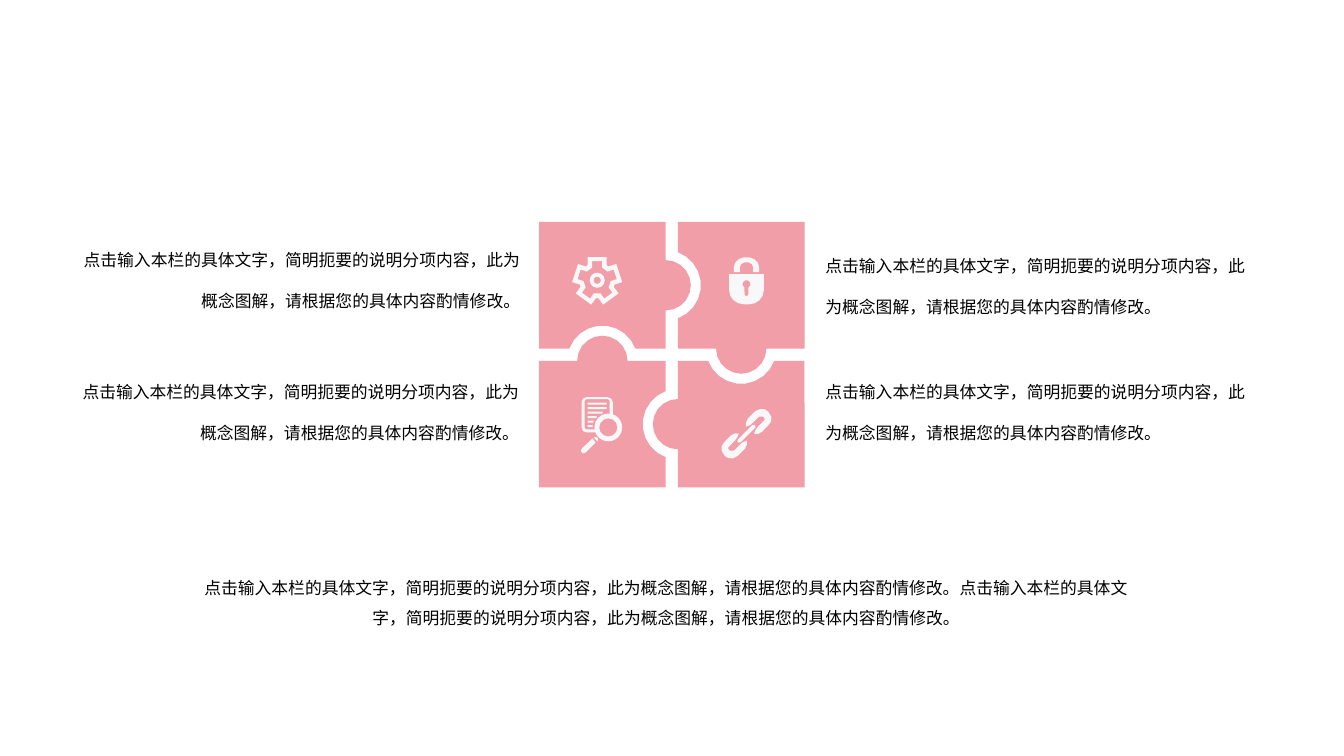
from math import cos, sin, radians
from pptx import Presentation
from pptx.dml.color import RGBColor
from pptx.enum.shapes import MSO_SHAPE as Kind
from pptx.enum.text import MSO_AUTO_SIZE as Fit, PP_ALIGN as Al
from pptx.oxml.ns import qn
from pptx.util import Pt

# Content
FONT, BLACK, PINK, PALE = "Noto Sans CJK SC", "000000", "F29EA9", "F8F8F8"
NOTE = "点击输入本栏的具体文字，简明扼要的说明分项内容，此为概念图解，请根据您的具体内容酌情修改。"
NOTES = [  # text, left, top, width, height, align, line spacing
    (NOTE, 582.5, 164.9, 323.3, 60.5, Al.LEFT, 2.0),
    (NOTE, 582.5, 254.9, 323.3, 60.5, Al.LEFT, 2.0),
    (NOTE, 45.4, 160.6, 333.4, 65.5, Al.RIGHT, 2.0),
    (NOTE, 44.6, 254.9, 333.4, 65.5, Al.RIGHT, 2.0),
    (NOTE * 2, 135.4, 401.8, 681.1, 91.4, Al.CENTER, 1.5),
]

# Puzzle sizes, measured from its centre
MID_X, MID_Y = 479.9, 253.4
GAP, OUT, HALF = 4.4, 94.8, 49.6
KNOB, HOLE = 18, 25.2

# Icon places
GEAR, LOCK, PAGE, CHAIN = (426.6, 200.2), (533.2, 183.6), (415.4, 283.7), (533.2, 309.8)
LINES = [13.7, 13.7, 10.8, 6.5, 4.3, 3.6]  # lengths of the text lines on the page
LINK = [(-9, 12.2), (-11.9, 12.2), (-13.2, 10.4), (-12.6, 9.4), (-8.3, 5),
        (-6.5, 2.5), (-5.4, 0), (-8.3, -0.2), (-11.2, 1.4), (-15.5, 5.8),
        (-17.6, 8.6), (-17.8, 12), (-15.5, 15.8), (-13, 17.5), (-9.5, 17.6),
        (-6.1, 15.8), (-1.1, 10.8), (0.3, 7.9), (0.4, 5), (-2.5, 6), (-4.7, 7.9)]

deck = Presentation()
deck.slide_width, deck.slide_height = Pt(960), Pt(540)
slide = deck.slides.add_slide(deck.slide_layouts[6])


def tint(code):
    return RGBColor.from_string(code)


def arc(x, y, r, start, end, tall=None):
    """Points on an arc, more for a longer one; degrees run clockwise."""
    steps = max(2, round(abs(end - start) * r ** 0.5 / 75))
    turns = [radians(start + (end - start) * i / steps) for i in range(steps + 1)]
    return [(x + r * cos(a), y + (tall or r) * sin(a)) for a in turns]


def turn(dots, deg):
    c, s = cos(radians(deg)), sin(radians(deg))
    return [(x * c - y * s, x * s + y * c) for x, y in dots]


def spin(tooth):
    """Five teeth make one closed gear edge."""
    return [dot for k in range(5) for dot in turn(tooth, 72 * k)]


def paint(shape, code):
    shape.shadow.inherit = False
    shape.fill.solid()
    shape.fill.fore_color.rgb = tint(code)
    shape.line.fill.background()


def draw(code, spot, *loops):
    pen = None
    for loop in loops:
        dots = [(Pt(spot[0] + x), Pt(spot[1] + y)) for x, y in loop]
        if pen is None:
            pen = slide.shapes.build_freeform(*dots[0], scale=1.0)
        else:
            pen.move_to(*dots[0])
        pen.add_line_segments(dots[1:], close=True)
    paint(pen.convert_to_shape(), code)


def ring(code, spot, x, y, r, hole):
    shape = slide.shapes.add_shape(Kind.DONUT, Pt(spot[0] + x - r), Pt(spot[1] + y - r),
                                   Pt(2 * r), Pt(2 * r))
    shape.adjustments[0] = (r - hole) / (2 * r)
    paint(shape, code)


# Puzzle: one piece, turned four times
piece = [(-OUT, -OUT), (-GAP, -OUT),
         *arc(-GAP, -HALF, KNOB, -90, 90),
         (-GAP, -GAP),
         *arc(-HALF, GAP, HOLE, -20.4, -159.6),
         (-OUT, -GAP)]
for deg in range(0, 360, 90):
    draw(PINK, (MID_X, MID_Y), turn(piece, deg))

# Gear
draw(PALE, GEAR,
     spin([(-6.8, -10.8), (-6.8, -16.6), (6.8, -16.6), (6.8, -10.8)]),
     spin([(-3.6, -9), (-3.6, -13.6), (3.6, -13.6), (3.6, -9)]))
ring(PALE, GEAR, 0, 0, 5.4, 2.6)

# Lock: shackle, then body with keyhole
draw(PALE, LOCK,
     [(-9, 10.8), *arc(0, 7.2, 9, 180, 360, 7.2), (9, 10.8), (4.7, 10.8),
      *arc(0, 7.2, 4.7, 360, 180, 3.6), (-4.7, 10.8)])
draw(PALE, LOCK,
     [(-12.4, 12.2), (12.4, 12.2), *arc(1.8, 23.8, 10.6, 0, 90, 10),
      *arc(-1.8, 23.8, 10.6, 90, 180, 10)],
     [*arc(0, 19.4, 2.9, 120, 420), *arc(0, 26.6, 1.4, 0, 180)])

# Page: text lines, frame, lens and handle
rows = [(4 + 3.2 * i, size) for i, size in enumerate(LINES)]
draw(PALE, PAGE, *[
    [(4.3, y), (4.3 + size, y), (4.3 + size, y + 1.4), (4.3, y + 1.4)] for y, size in rows])
draw(PALE, PAGE,
     [(10.1, 23), *arc(3.6, 21.6, 1.4, 90, 180), *arc(3.6, 2.9, 1.4, 180, 270),
      *arc(18.7, 2.9, 1.4, 270, 360), (20.1, 13), (22.3, 13),
      *arc(18.7, 3.6, 3.6, 360, 270), *arc(3.6, 3.6, 3.6, 270, 180),
      *arc(3.6, 21.6, 3.6, 180, 90), (11.5, 25.2)])
ring(PALE, PAGE, 19.1, 21.6, 9.9, 6.5)
draw(PALE, PAGE,
     [*arc(10.1, 30.2, 1.9, -135, 45), (11.5, 31.7), (8.6, 28.8)],
     [(7.9, 29.5), (10.1, 32.4), *arc(1.5, 38.2, 2, 45, 225)])

# Chain: middle bar and two links
draw(PALE, CHAIN, turn([*arc(7.2, 0, 1.4, -90, 90), *arc(-7.2, 0, 1.4, 90, 270)], -45))
draw(PALE, CHAIN, LINK, turn(LINK, 180))

# Notes
for text, x, y, w, h, side, gap in NOTES:
    frame = slide.shapes.add_textbox(Pt(x), Pt(y), Pt(w), Pt(h)).text_frame
    frame.word_wrap, frame.auto_size = True, Fit.SHAPE_TO_FIT_TEXT
    frame.text = text
    para = frame.paragraphs[0]
    para.alignment, para.line_spacing = side, gap
    run = para.runs[0]
    run.font.size, run.font.name = Pt(12), FONT
    run.font.color.rgb = tint(BLACK)
    latin = run._r.rPr.find(qn("a:latin"))
    latin.addnext(latin.makeelement(qn("a:ea"), {"typeface": FONT}))

deck.save("out.pptx")
